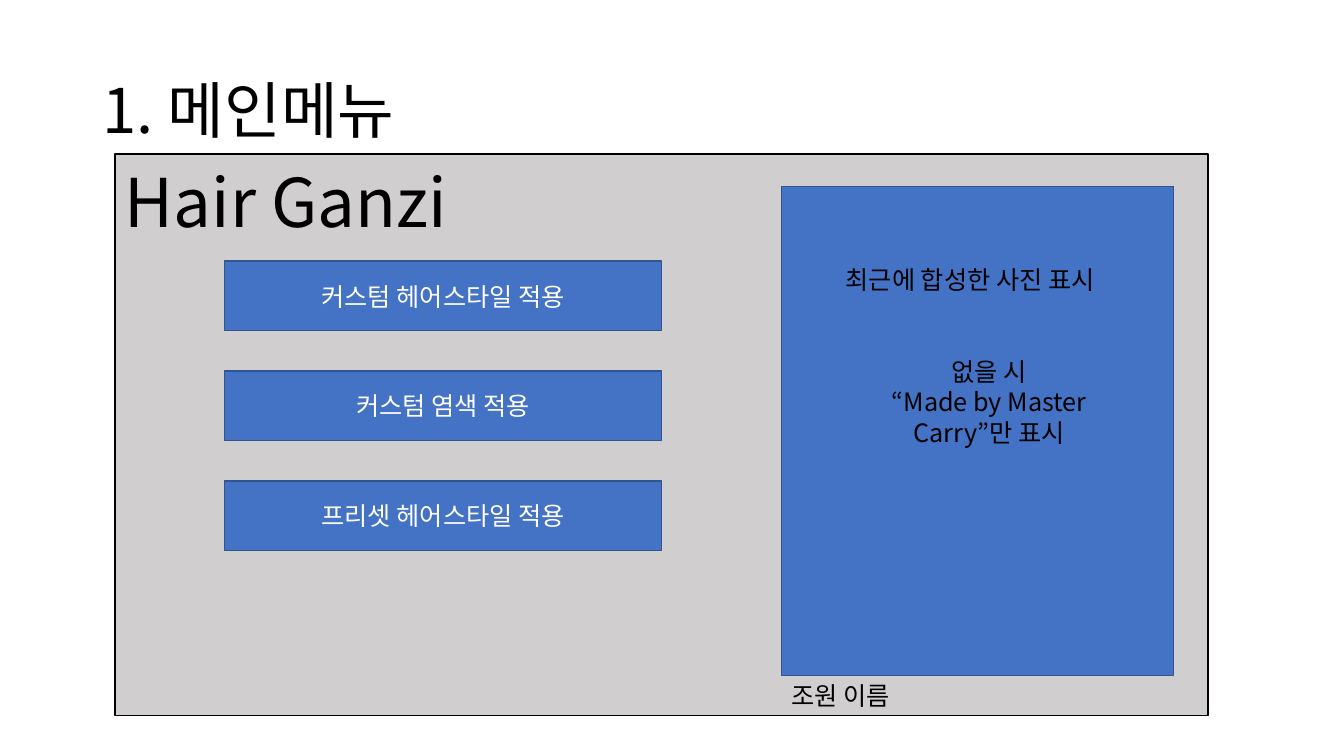
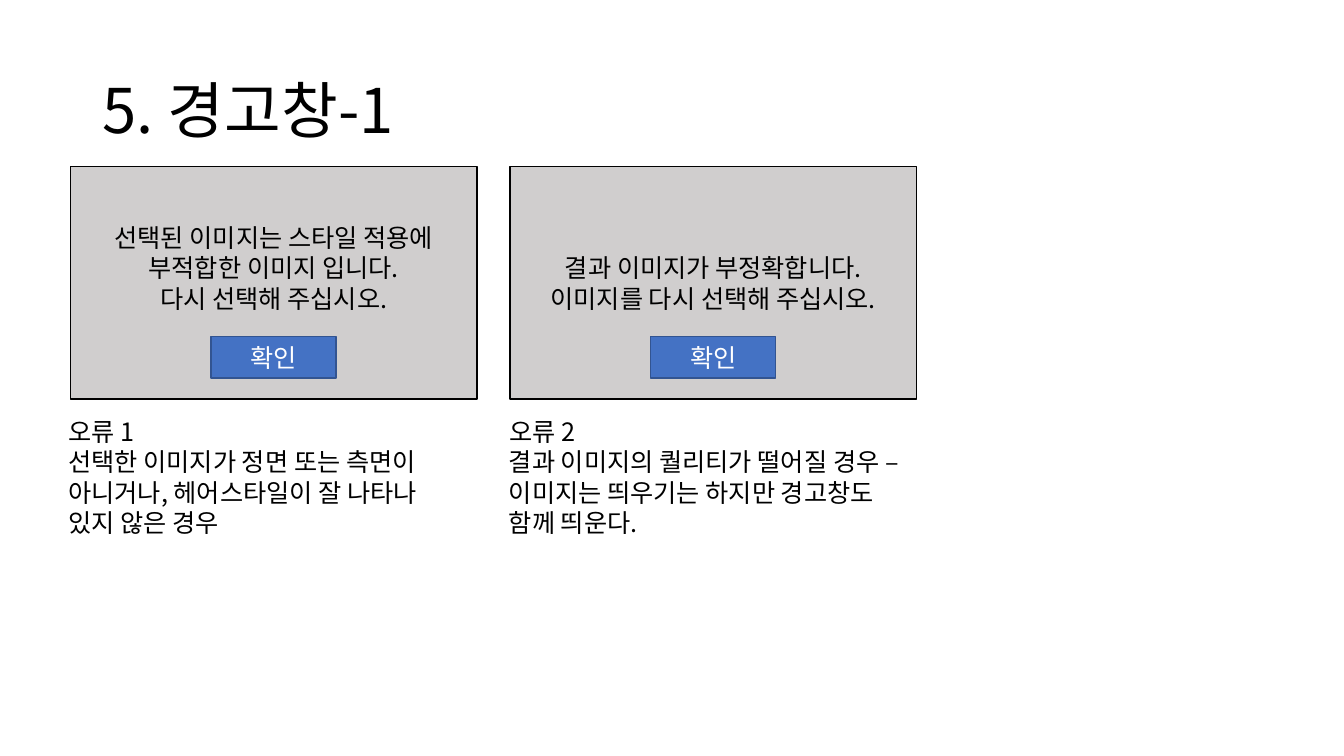
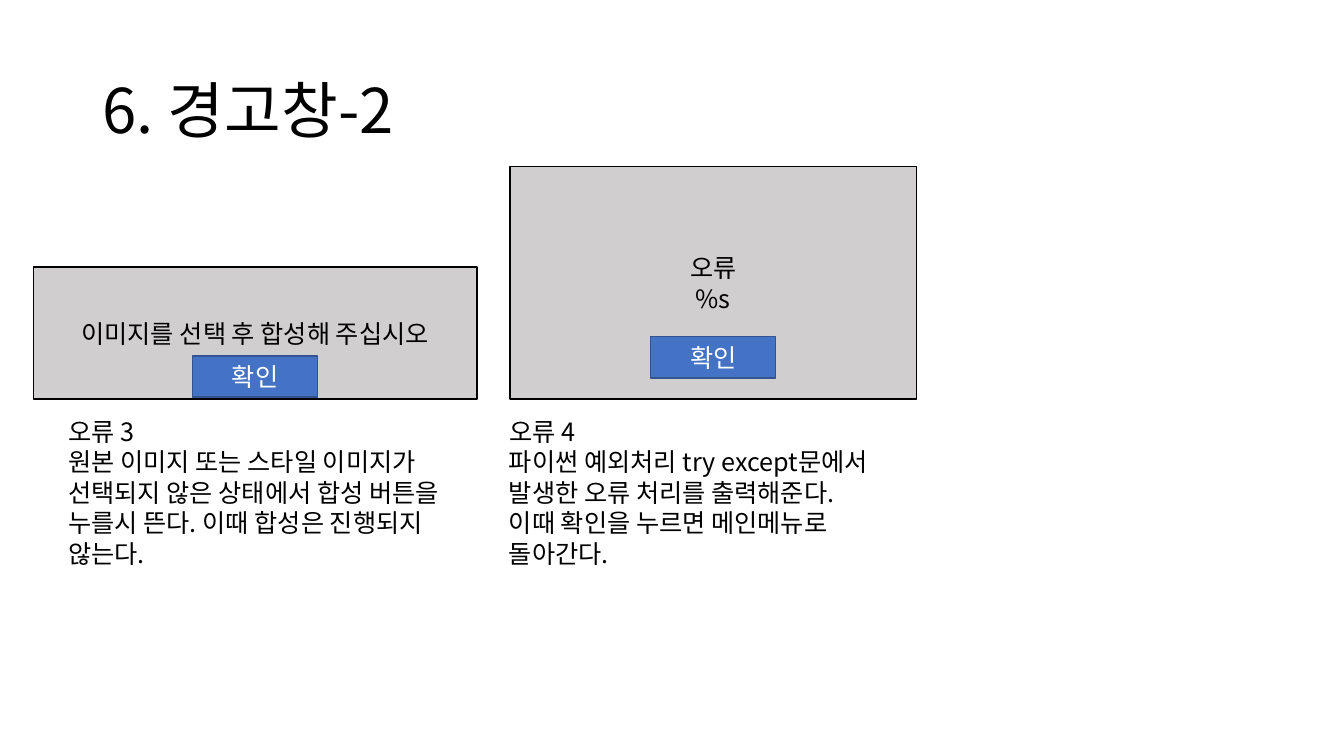
from pptx import Presentation
from pptx.dml.color import RGBColor
from pptx.enum.shapes import MSO_SHAPE
from pptx.enum.text import MSO_ANCHOR, PP_ALIGN
from pptx.oxml import parse_xml
from pptx.oxml.ns import nsdecls
from pptx.util import Inches, Pt

BLACK = RGBColor(0x00, 0x00, 0x00)
WHITE = RGBColor(0xFF, 0xFF, 0xFF)
GRAY = RGBColor(0xD0, 0xCE, 0xCE)
BLUE = RGBColor(0x44, 0x72, 0xC4)
DARK_BLUE = RGBColor(0x32, 0x54, 0x91)


class Deck:
    font_name = "Noto Sans CJK KR"
    body_size = 18
    title_size = 44
    line_ratio = 1.21
    dialog_bottom = 3.96
    button_width = 1.24
    button_height = 0.41

    def __init__(self):
        self.presentation = Presentation()
        self.presentation.slide_width = Inches(13.33)
        self.presentation.slide_height = Inches(7.5)
        self.slide = None

    def add_slide(self, title):
        layout = self.presentation.slide_layouts[6]
        self.slide = self.presentation.slides.add_slide(layout)
        frame = self.text(0.92, 0.4, 11.5, 1.45, [title], self.title_size)
        frame.vertical_anchor = MSO_ANCHOR.MIDDLE
        frame.paragraphs[0].line_spacing = 0.9

    def add_lines(self, frame, lines, size, color, alignment):
        frame.word_wrap = True
        for index, line in enumerate(lines):
            paragraph = frame.paragraphs[0] if index == 0 else frame.add_paragraph()
            paragraph.alignment = alignment
            paragraph.line_spacing = Pt(round(size * self.line_ratio, 1))
            run = paragraph.add_run()
            run.text = line
            run.font.name = self.font_name
            run.font.size = Pt(size)
            run.font.color.rgb = color
            east_asian = parse_xml(f'<a:ea {nsdecls("a")} typeface="{self.font_name}"/>')
            run.font._element.find(".//{*}latin").addnext(east_asian)

    def text(self, left, top, width, height, lines, size=body_size):
        shape = self.slide.shapes.add_textbox(
            Inches(left), Inches(top), Inches(width), Inches(height))
        self.add_lines(shape.text_frame, lines, size, BLACK, PP_ALIGN.LEFT)
        return shape.text_frame

    def box(self, left, top, width, height, fill, line, lines=(), color=BLACK):
        shape = self.slide.shapes.add_shape(
            MSO_SHAPE.RECTANGLE,
            Inches(left), Inches(top), Inches(width), Inches(height))
        shape.shadow.inherit = False
        shape.fill.solid()
        shape.fill.fore_color.rgb = fill
        shape.line.color.rgb = line
        shape.line.width = Pt(1)
        frame = shape.text_frame
        frame.vertical_anchor = MSO_ANCHOR.MIDDLE
        self.add_lines(frame, lines, self.body_size, color, PP_ALIGN.CENTER)
        return frame

    def panel(self, left, top, width, height, lines=()):
        return self.box(left, top, width, height, GRAY, BLACK, lines)

    def button(self, left, top, width, height, label):
        self.box(left, top, width, height, BLUE, DARK_BLUE, [label], WHITE)

    def dialog(self, left, width, height, message, button_gap=0.21):
        frame = self.panel(left, self.dialog_bottom - height, width, height, message)
        button_left = left + (width - self.button_width) / 2
        button_top = self.dialog_bottom - button_gap - self.button_height
        self.button(button_left, button_top, self.button_width, self.button_height, "확인")
        return frame

    def caption(self, left, label, description, height):
        self.text(left, 4.38, 4.14, height, description)
        self.text(left, 4.08, 1.95, 0.4, [label])


deck = Deck()

deck.add_slide("1. 메인메뉴")
deck.panel(1.14, 1.53, 10.84, 5.57)
deck.text(1.14, 1.53, 4.44, 0.91, ["Hair Ganzi"], 48)
deck.box(7.75, 1.85, 3.89, 4.85, BLUE, DARK_BLUE)
recent_photo = deck.text(8.29, 2.57, 3.04, 1.92, [
    "최근에 합성한 사진 표시",
    "없을 시",
    "“Made by Master Carry”만 표시",
])
for paragraph in recent_photo.paragraphs[1:]:
    paragraph.alignment = PP_ALIGN.CENTER
recent_photo.paragraphs[1].space_before = Pt(43.6)
deck.text(7.75, 6.7, 3.89, 0.4, ["조원 이름"])
menu_labels = ["커스텀 헤어스타일 적용", "커스텀 염색 적용", "프리셋 헤어스타일 적용"]
for index, label in enumerate(menu_labels):
    deck.button(2.23, 2.59 + 1.09 * index, 4.33, 0.69, label)

deck.add_slide("5. 경고창-1")
unsuitable_image = deck.dialog(0.7, 4.03, 2.31, [
    "선택된 이미지는 스타일 적용에 부적합한 이미지 입니다.",
    "다시 선택해 주십시오.",
])
unsuitable_image.margin_bottom = Inches(0.35)
deck.caption(0.58, "오류 1", [
    "선택한 이미지가 정면 또는 측면이 아니거나, 헤어스타일이 잘 나타나 있지 않은 경우",
], 1.01)
deck.dialog(5.06, 4.03, 2.31, [
    "결과 이미지가 부정확합니다.",
    "이미지를 다시 선택해 주십시오.",
])
deck.caption(4.95, "오류 2", [
    "결과 이미지의 퀄리티가 떨어질 경우 – 이미지는 띄우기는 하지만 경고창도 함께 띄운다.",
], 1.01)

deck.add_slide("6. 경고창-2")
deck.dialog(0.33, 4.4, 1.31, ["이미지를 선택 후 합성해 주십시오"], button_gap=0.02)
deck.caption(0.58, "오류 3", [
    "원본 이미지 또는 스타일 이미지가 선택되지 않은 상태에서 합성 버튼을 누를시 뜬다. "
    "이때 합성은 진행되지 않는다.",
], 1.31)
deck.dialog(5.06, 4.03, 2.31, ["오류", "%s"])
deck.caption(4.95, "오류 4", [
    "파이썬 예외처리 try except문에서 발생한 오류 처리를 출력해준다.",
    "이때 확인을 누르면 메인메뉴로 돌아간다.",
], 1.31)

deck.presentation.save("out.pptx")
